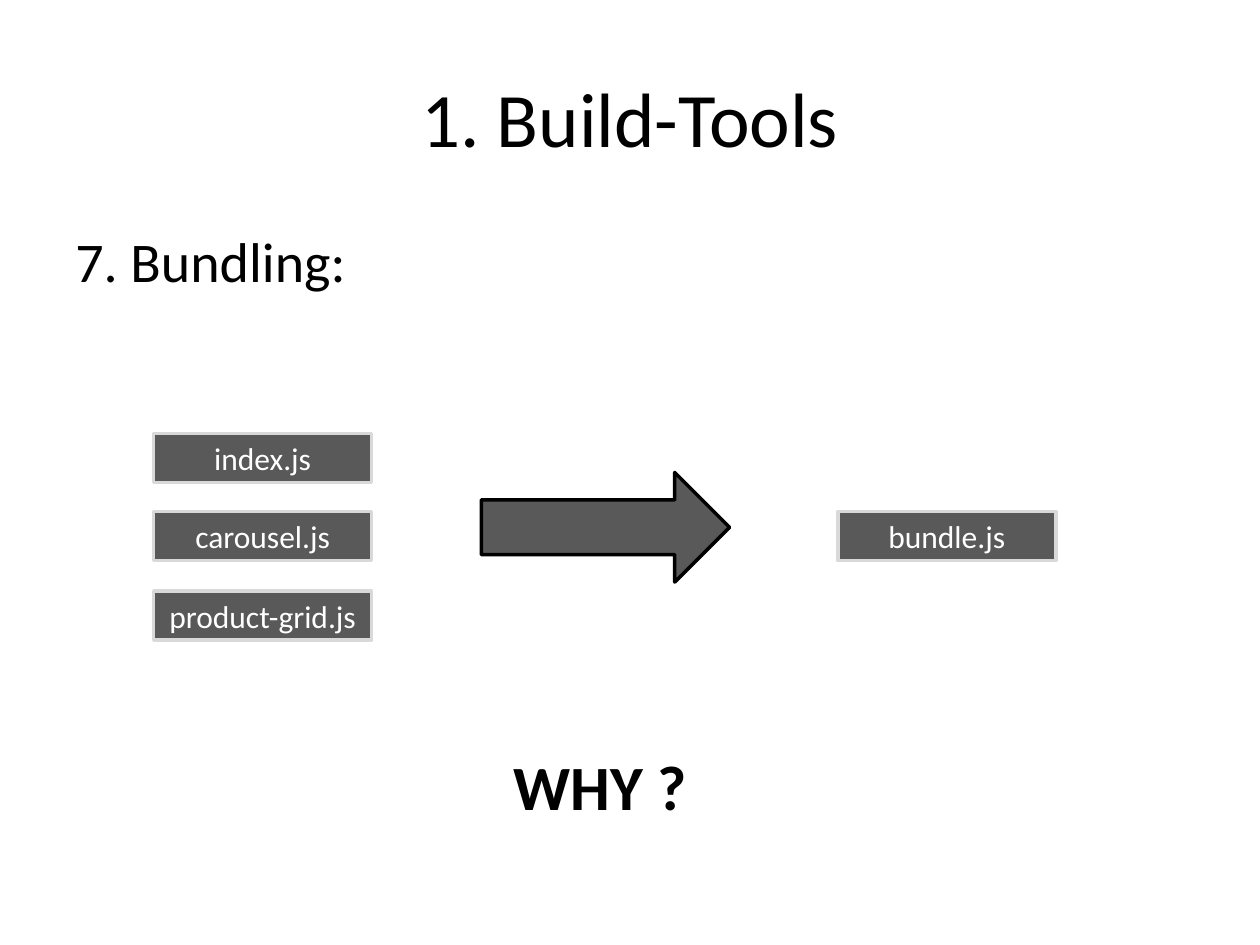
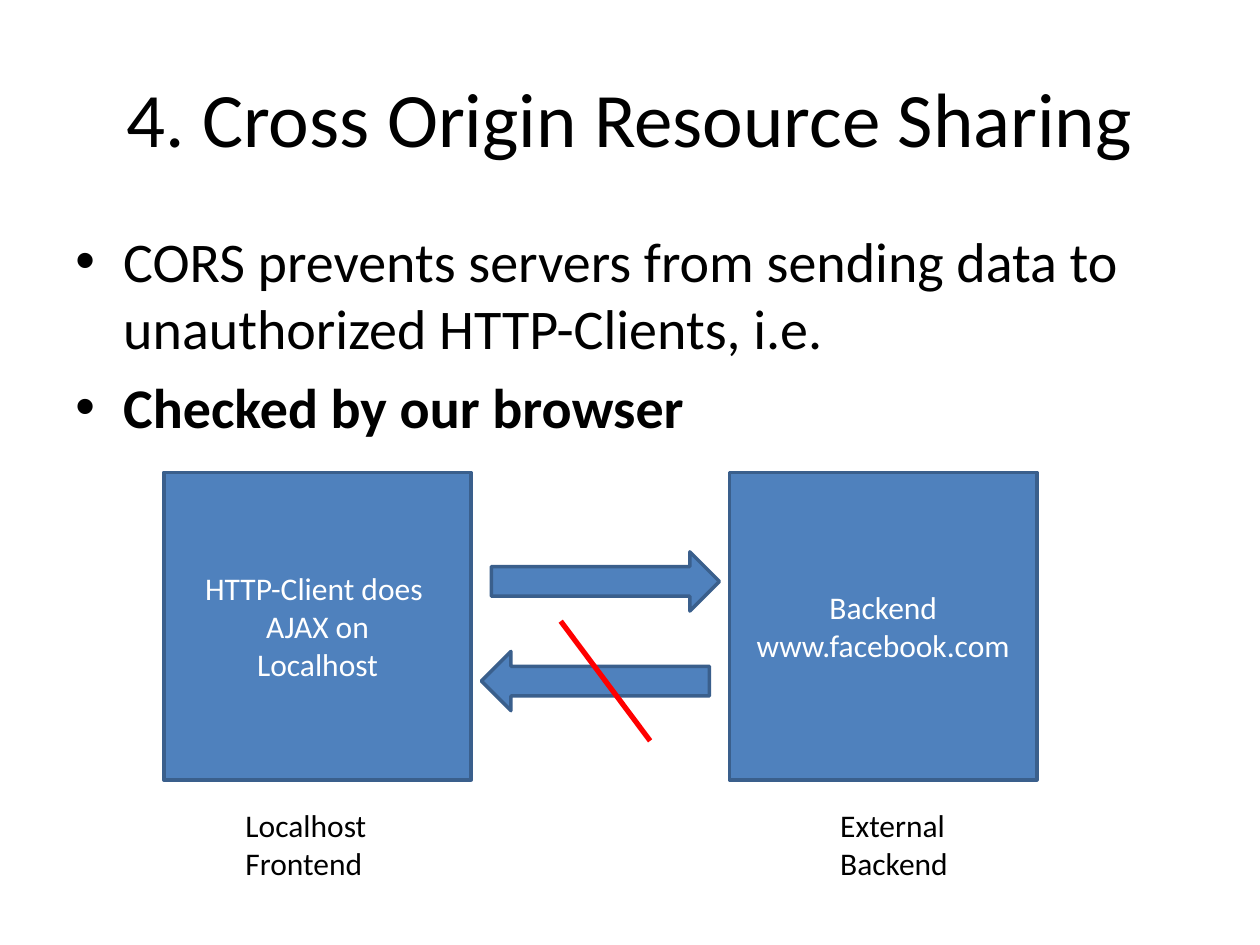
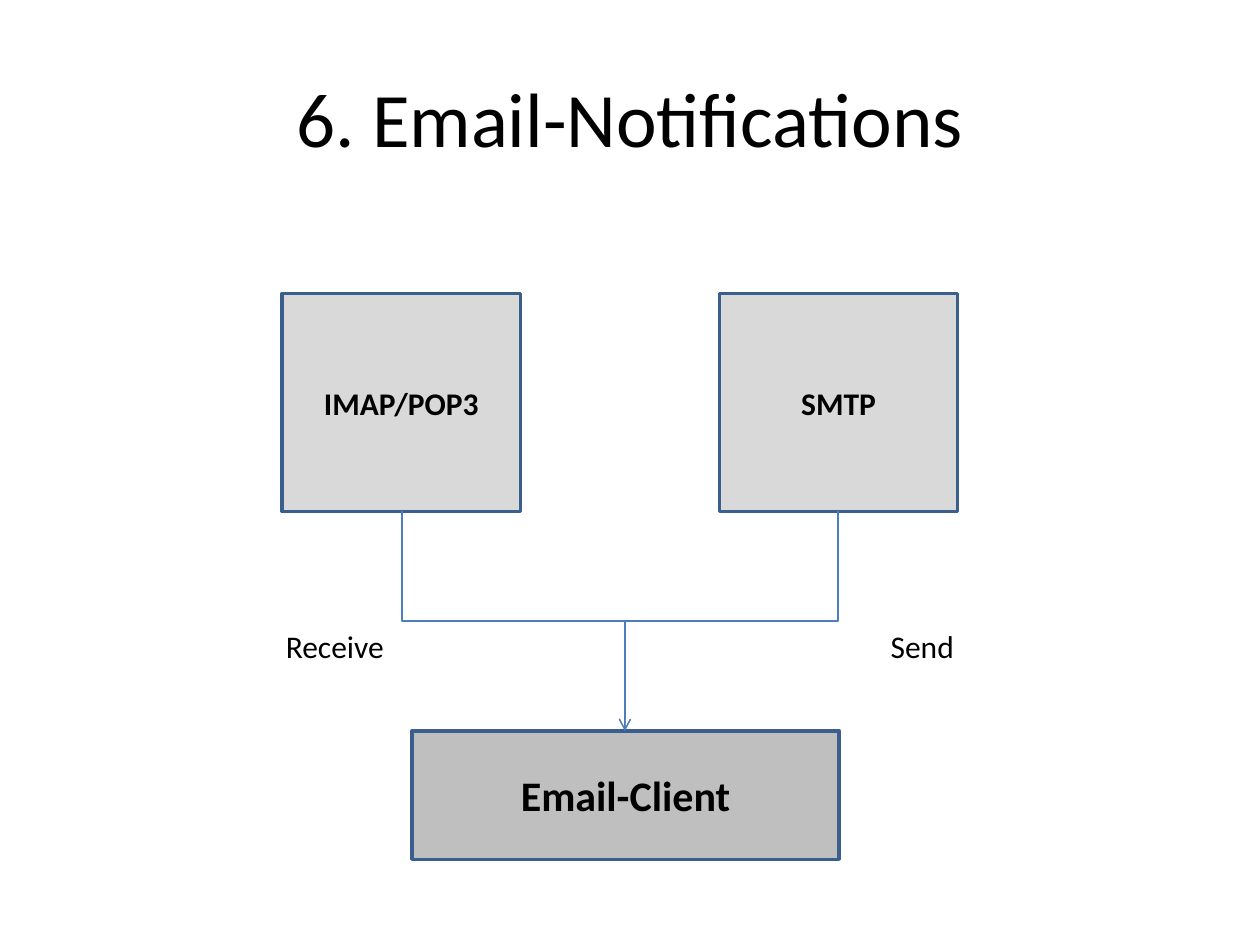
from lxml import etree
from pptx import Presentation
from pptx.dml.color import RGBColor
from pptx.enum import shapes, text
from pptx.oxml.ns import qn
from pptx.util import Inches, Pt

FONT = "Calibri"
BLACK, WHITE, RED = "000000", "FFFFFF", "FF0000"
DARK, MID, PALE = "595959", "BFBFBF", "D9D9D9"
BLUE, EDGE, WIRE = "4F81BD", "3A5F8C", "4B7EBC"
RECT = shapes.MSO_SHAPE.RECTANGLE
ARROW = shapes.MSO_SHAPE.RIGHT_ARROW
LEFT, MIDDLE = text.PP_ALIGN.LEFT, text.PP_ALIGN.CENTER


def color(code):
    return RGBColor.from_string(code)


class Deck:
    def __init__(self):
        self.show = Presentation()
        self.show.slide_width, self.show.slide_height = Inches(10), Inches(7.5)
        self.slide = None

    def start(self, title):
        """Add a slide with its title."""
        self.slide = self.show.slides.add_slide(self.show.slide_layouts[5])
        head = self.slide.shapes.title
        head.left, head.top = Inches(0.5), Inches(0.3)
        head.width, head.height = Inches(9), Inches(1.25)
        head.text_frame.vertical_anchor = text.MSO_ANCHOR.MIDDLE
        self.fill_text(head.text_frame, [title], 44, align=MIDDLE)

    def fill_text(self, frame, lines, size, ink=BLACK, bold=False, align=LEFT):
        for i, line in enumerate(lines):
            para = frame.paragraphs[0] if i == 0 else frame.add_paragraph()
            para.alignment = align
            run = para.add_run()
            run.text = line
            font = run.font
            font.name, font.size, font.bold = FONT, Pt(size), bold
            font.color.rgb = color(ink)

    def label(self, area, lines, size=18, bold=False, wrap=True):
        box = self.slide.shapes.add_textbox(*map(Inches, area))
        box.text_frame.word_wrap = wrap
        self.fill_text(box.text_frame, lines, size, bold=bold)
        return box.text_frame

    def body(self, height, lines, bullet=False):
        """Add large text with hanging indents."""
        frame = self.label((0.5, 1.75, 9, height), lines, 32)
        for i, para in enumerate(frame.paragraphs):
            props = para._p.get_or_add_pPr()
            props.set("marL", str(Inches(0.38)))
            props.set("indent", str(-Inches(0.38)))
            if bullet:
                mark = etree.SubElement(props, qn("a:buFont"))
                mark.set("typeface", "Arial")
                etree.SubElement(props, qn("a:buChar")).set("char", "•")
            if i:
                para.space_before = Pt(6.4)
        return frame

    def shape(self, kind, area, fill, edge, lines=(), size=18, ink=WHITE,
              bold=False, turn=0):
        item = self.slide.shapes.add_shape(kind, *map(Inches, area))
        item.shadow.inherit = False
        item.fill.solid()
        item.fill.fore_color.rgb = color(fill)
        item.line.color.rgb = color(edge)
        item.line.width = Pt(2)
        item.rotation = turn
        item.text_frame.vertical_anchor = text.MSO_ANCHOR.MIDDLE
        self.fill_text(item.text_frame, lines, size, ink, bold, MIDDLE)

    def line(self, kind, start, end, ink, width):
        item = self.slide.shapes.add_connector(
            kind, *map(Inches, (*start, *end)))
        item.line.color.rgb = color(ink)
        item.line.width = Pt(width)
        etree.SubElement(item._element.spPr, qn("a:effectLst"))
        return item

    def elbow(self, start, end):
        """Add a bent arrow that leaves and arrives vertically."""
        (x1, y1), (x2, y2) = start, end
        midx, midy = (x1 + x2) / 2, (y1 + y2) / 2
        right = x2 > x1
        dx = (y2 - y1) / 2 * (1 if right else -1)
        dy = abs(x2 - x1) / 2
        item = self.line(shapes.MSO_CONNECTOR.ELBOW, (midx + dx, midy - dy),
                         (midx - dx, midy + dy), WIRE, 0.75)
        props = item._element.spPr
        turn = 270 if right else 90
        props.find(qn("a:xfrm")).set("rot", str(turn * 60000))
        tip = etree.SubElement(props.find(qn("a:ln")), qn("a:tailEnd"))
        tip.set("type", "arrow")


def bundling(deck):
    deck.start("1. Build-Tools")
    deck.body(4.95, ["7. Bundling:"])
    # Source files, arrow and result
    files = [(1.22, 3.44, "index.js"), (1.22, 4.06, "carousel.js"),
             (1.22, 4.69, "product-grid.js"), (6.65, 4.06, "bundle.js")]
    for x, y, name in files:
        deck.shape(RECT, (x, y, 1.73, 0.39), DARK, PALE, [name])
    deck.shape(ARROW, (3.82, 3.75, 1.97, 0.87), DARK, BLACK)
    deck.label((3.98, 5.88, 2.52, 0.71), ["WHY ?"], 36, bold=True)


def sharing(deck):
    deck.start("4. Cross Origin Resource Sharing")
    frame = deck.body(2, [
        "CORS prevents servers from sending data to unauthorized "
        "HTTP-Clients, i.e.",
        "Checked by our browser"], bullet=True)
    frame.paragraphs[1].runs[0].font.bold = True
    # Client and server with captions
    hosts = [(1.3, ["HTTP-Client does ", "AJAX on", "Localhost"]),
             (5.79, ["Backend", "www.facebook.com"])]
    for x, lines in hosts:
        deck.shape(RECT, (x, 3.75, 2.44, 2.44), BLUE, EDGE, lines)
    deck.label((1.85, 6.35, 1.34, 0.71), ["Localhost", "Frontend"])
    deck.label((6.57, 6.35, 1.42, 0.71), ["External", "Backend"])
    # Request, and the response struck out
    for x, y, turn in [(3.9, 4.38, 0), (3.82, 5.17, 180)]:
        deck.shape(ARROW, (x, y, 1.81, 0.47), BLUE, EDGE, turn=turn)
    deck.line(shapes.MSO_CONNECTOR.STRAIGHT, (4.45, 4.93), (5.16, 5.88), RED, 3)


def mail(deck):
    deck.start("6. Email-Notifications")
    # Servers, client and the arrows between them
    for x, name in [(2.24, "IMAP/POP3"), (5.71, "SMTP")]:
        deck.shape(RECT, (x, 2.33, 1.89, 1.73), PALE, EDGE, [name],
                   ink=BLACK, bold=True)
    deck.shape(RECT, (3.27, 5.8, 3.39, 1.02), MID, EDGE, ["Email-Client"],
               24, BLACK, True)
    for x in (3.19, 6.65):
        deck.elbow((x, 4.06), (4.96, 5.8))
    deck.label((2.17, 4.93, 0.99, 0.4), ["Receive"], wrap=False)
    deck.label((6.97, 4.93, 0.71, 0.4), ["Send"], wrap=False)


def main():
    deck = Deck()
    for build in (bundling, sharing, mail):
        build(deck)
    deck.show.save("out.pptx")


if __name__ == "__main__":
    main()
